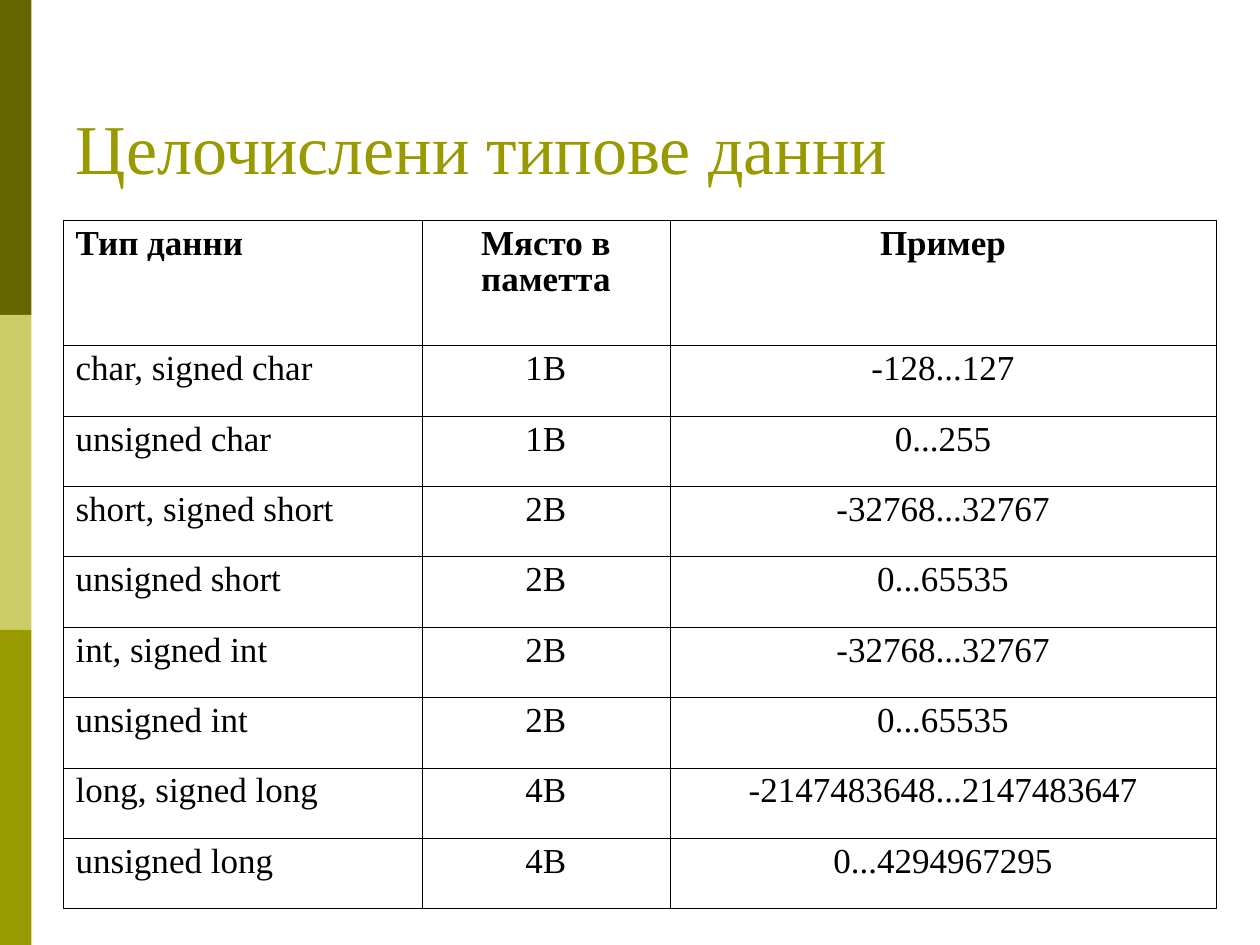
"""Build a slide with a table of integer data types."""
from lxml.etree import SubElement
from pptx import Presentation
from pptx.dml.color import RGBColor
from pptx.enum.shapes import MSO_SHAPE
from pptx.enum.text import MSO_ANCHOR, PP_ALIGN
from pptx.oxml.ns import qn
from pptx.util import Pt


def rgb(value):
    return RGBColor.from_string(value)


def add_border(cell, side, width):
    ln = SubElement(cell._tc.get_or_add_tcPr(), qn(f"a:{side}"), w=str(Pt(width)))
    fill = SubElement(ln, qn("a:solidFill"))
    SubElement(fill, qn("a:srgbClr"), val="000000")


FONT = "Times New Roman"
ROWS = [
    ("Тип данни", "Място в паметта", "Пример"),
    ("char, signed char", "1B", "-128...127"),
    ("unsigned char", "1B", "0...255"),
    ("short, signed short", "2B", "-32768...32767"),
    ("unsigned short", "2B", "0...65535"),
    ("int, signed int", "2B", "-32768...32767"),
    ("unsigned int", "2B", "0...65535"),
    ("long, signed long", "4B", "-2147483648...2147483647"),
    ("unsigned long", "4B", "0...4294967295"),
]
COL_WIDTHS = [205, 142, 311.8]
HEADER_HEIGHT, ROW_HEIGHT = 71.4, 40.25
OUTER, INNER = 0.23, 0.11

prs = Presentation()
prs.slide_width, prs.slide_height = Pt(720), Pt(540)
s = prs.slides.add_slide(prs.slide_layouts[5])

for i, color in enumerate(["666600", "CCCC66", "999900"]):
    sp = s.shapes.add_shape(MSO_SHAPE.RECTANGLE, 0, Pt(180 * i), Pt(18), Pt(180))
    sp.shadow.inherit = False
    sp.fill.solid()
    sp.fill.fore_color.rgb = rgb(color)
    sp.line.fill.background()

title = s.shapes.title
title.left, title.top, title.width, title.height = Pt(36), Pt(-54), Pt(648), Pt(165.6)
tf = title.text_frame
tf.text = "Целочислени типове данни"
tf.vertical_anchor = MSO_ANCHOR.BOTTOM
p = tf.paragraphs[0]
p.alignment = PP_ALIGN.LEFT
p.font.name = FONT
p.font.size = Pt(40)
p.font.color.rgb = rgb("999900")

last_row, last_col = len(ROWS) - 1, len(COL_WIDTHS) - 1
height = HEADER_HEIGHT + last_row * ROW_HEIGHT
table = s.shapes.add_table(len(ROWS), len(COL_WIDTHS), Pt(36), Pt(126),
                           Pt(sum(COL_WIDTHS)), Pt(height)).table
table.first_row = table.horz_banding = False
for col, width in zip(table.columns, COL_WIDTHS):
    col.width = Pt(width)

for i, row in enumerate(ROWS):
    table.rows[i].height = Pt(ROW_HEIGHT if i else HEADER_HEIGHT)
    for j, text in enumerate(row):
        cell = table.cell(i, j)
        cell.text = text
        p = cell.text_frame.paragraphs[0]
        p.alignment = PP_ALIGN.CENTER if j else PP_ALIGN.LEFT
        p.line_spacing = 0.93
        p.font.name = FONT
        p.font.size = Pt(20)
        p.font.bold = i == 0
        p.font.color.rgb = rgb("000000")
        edges = {"lnL": j == 0, "lnR": j == last_col, "lnT": i == 0, "lnB": i == last_row}
        for side, is_outer in edges.items():
            add_border(cell, side, OUTER if is_outer else INNER)
        cell.fill.background()

prs.save("out.pptx")
